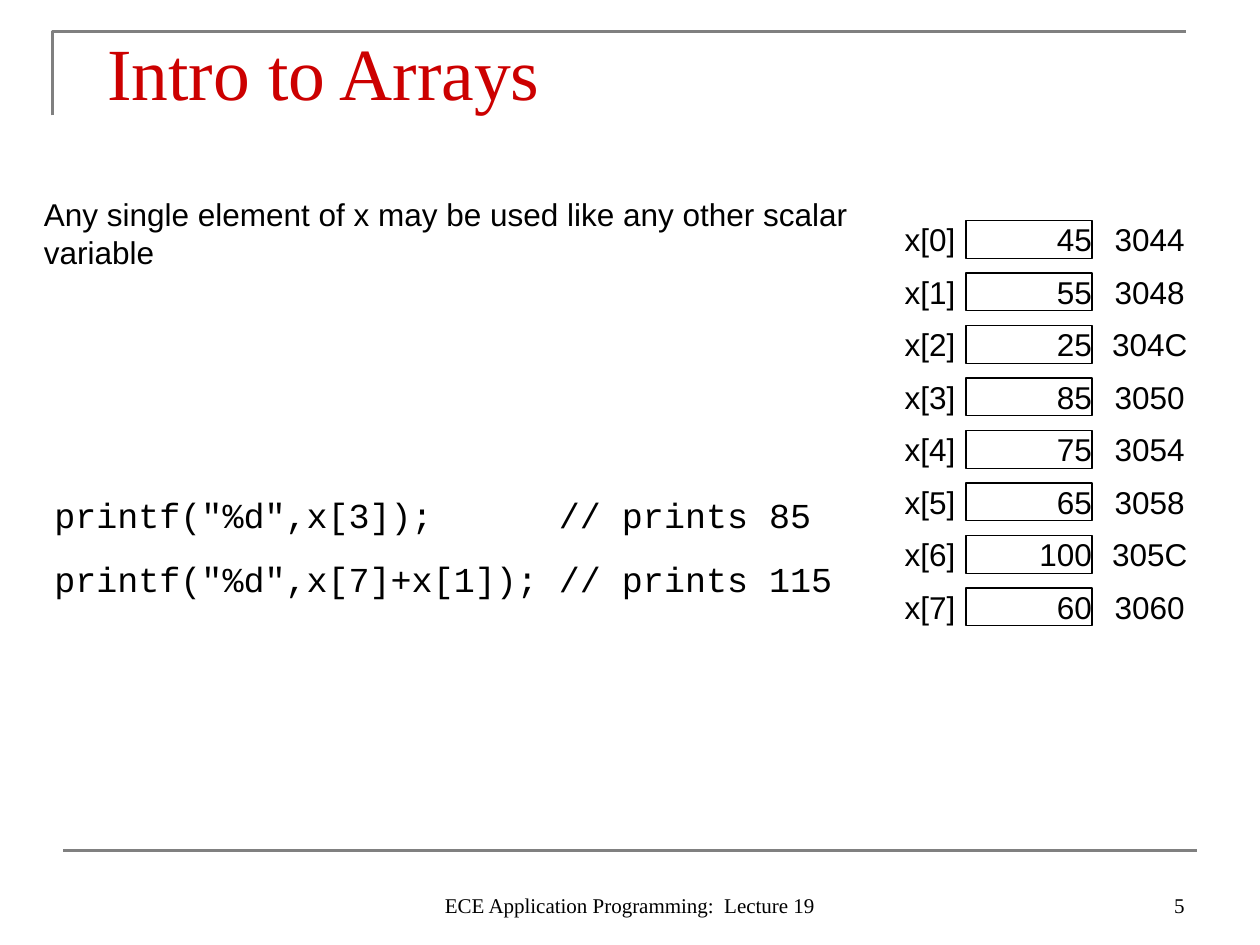
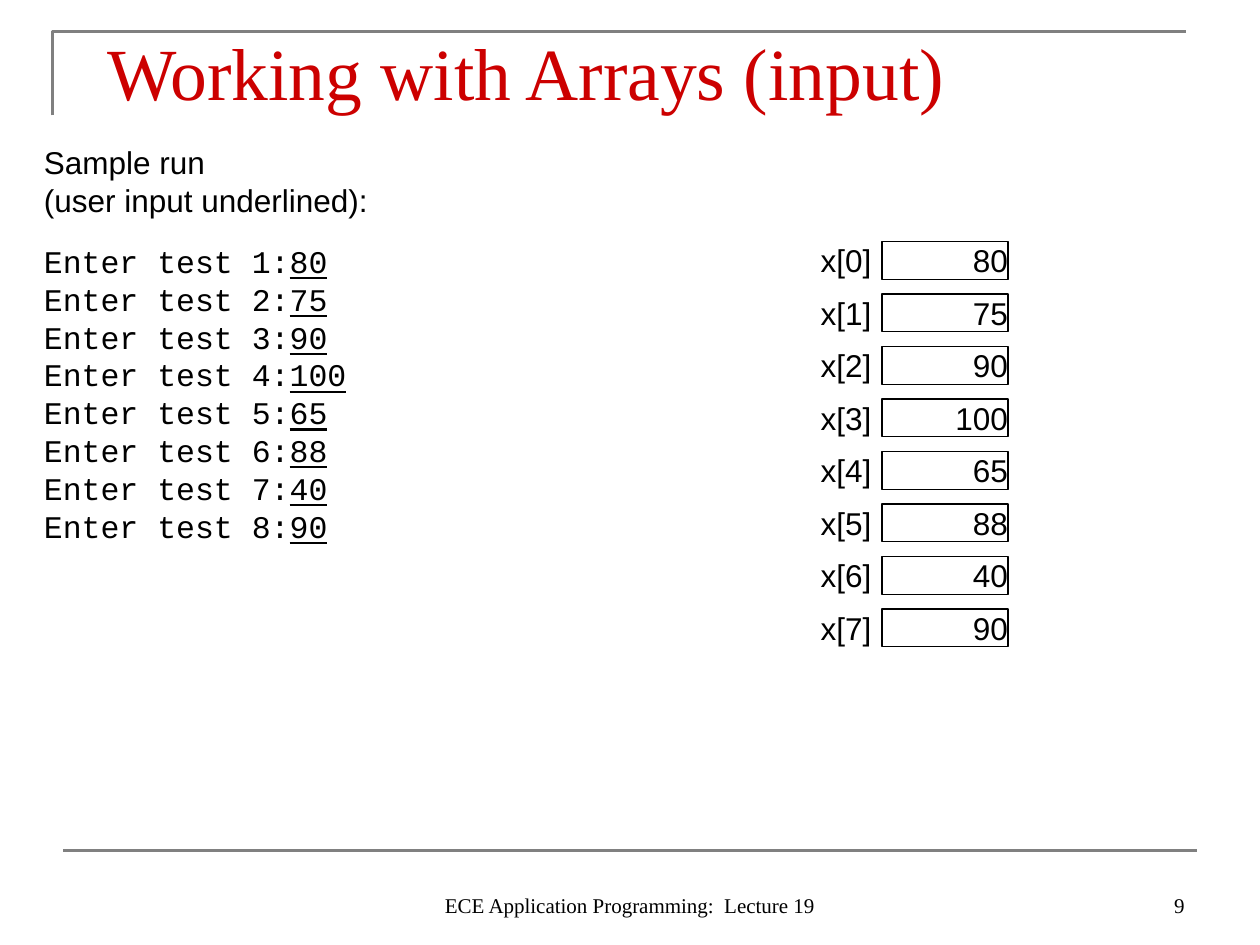
"""Build two lecture slides on arrays."""
from dataclasses import dataclass

from lxml import etree
from pptx import Presentation
from pptx.dml.color import RGBColor
from pptx.enum.shapes import MSO_CONNECTOR, MSO_SHAPE
from pptx.enum.text import MSO_ANCHOR, PP_ALIGN
from pptx.oxml.ns import qn
from pptx.slide import Slide
from pptx.text.text import TextFrame, _Paragraph
from pptx.util import Pt

RED = RGBColor(0xCC, 0x00, 0x00)
GRAY = RGBColor(0x80, 0x80, 0x80)
BLACK = RGBColor(0x00, 0x00, 0x00)
SERIF, SANS, MONO = "Times New Roman", "Arial", "Courier New"
LEFT, CENTER, RIGHT = PP_ALIGN.LEFT, PP_ALIGN.CENTER, PP_ALIGN.RIGHT
TOP, BOTTOM = MSO_ANCHOR.TOP, MSO_ANCHOR.BOTTOM
RECTANGLE, STRAIGHT = MSO_SHAPE.RECTANGLE, MSO_CONNECTOR.STRAIGHT
TITLE_ONLY = 5
LEADING = 1.2
ROW_PITCH, ROW_HEIGHT = 30, 21.6
LABEL_WIDTH, VALUE_OFFSET, VALUE_WIDTH = 66, 72, 72
FOOTER = "ECE Application Programming:  Lecture 19"


@dataclass(frozen=True)
class Box:
    """A rectangle in points."""
    left: float
    top: float
    width: float
    height: float

    def emu(self) -> tuple[Pt, Pt, Pt, Pt]:
        """Return the four lengths for python-pptx."""
        return Pt(self.left), Pt(self.top), Pt(self.width), Pt(self.height)


@dataclass(frozen=True)
class Style:
    """The look of a paragraph."""
    font: str
    size: float
    color: RGBColor = BLACK
    align: PP_ALIGN = LEFT


@dataclass(frozen=True)
class ArrayCell:
    """One array element with its value and optional address."""
    value: int
    address: str = ""


TITLE = Style(SERIF, 42, RED)
BODY = Style(SANS, 18)
CELL = Style(SANS, 18, align=RIGHT)
ADDRESS = Style(SANS, 18, align=CENTER)
CODE = Style(MONO, 20)
CONSOLE = Style(MONO, 18)
FOOTER_TEXT = Style(SERIF, 12, align=CENTER)
PAGE_NUMBER = Style(SERIF, 12, align=RIGHT)


def format_paragraph(paragraph: _Paragraph, style: Style) -> None:
    """Apply a style to a whole paragraph."""
    paragraph.alignment = style.align
    paragraph.line_spacing = Pt(style.size * LEADING)
    paragraph.font.name = style.font
    paragraph.font.size = Pt(style.size)
    paragraph.font.color.rgb = style.color


def set_text(frame: TextFrame, lines: list[str], style: Style, gap: float = 0,
             padding: tuple[float, float] = (7.2, 3.6),
             anchor: MSO_ANCHOR = TOP) -> None:
    """Fill a frame with equally styled paragraphs."""
    frame.word_wrap = True
    frame.vertical_anchor = anchor
    frame.margin_left = frame.margin_right = Pt(padding[0])
    frame.margin_top = frame.margin_bottom = Pt(padding[1])
    for index, line in enumerate(lines):
        paragraph = frame.add_paragraph() if index else frame.paragraphs[0]
        paragraph.text = line
        format_paragraph(paragraph, style)
        if index:
            paragraph.space_before = Pt(gap)


def add_text(slide: Slide, box: Box, lines: list[str], style: Style, gap: float = 0,
             padding: tuple[float, float] = (7.2, 3.6),
             anchor: MSO_ANCHOR = TOP) -> TextFrame:
    """Add a text box and return its frame."""
    frame = slide.shapes.add_textbox(*box.emu()).text_frame
    set_text(frame, lines, style, gap, padding, anchor)
    return frame


def add_frame(slide: Slide) -> None:
    """Draw the corner rule and the footer rule."""
    builder = slide.shapes.build_freeform(Pt(30), Pt(66))
    builder.add_line_segments([(Pt(30), Pt(18)), (Pt(678), Pt(18))], close=False)
    corner = builder.convert_to_shape()
    corner.fill.background()
    corner.shadow.inherit = False
    footer_rule = slide.shapes.add_connector(STRAIGHT, Pt(36), Pt(486), Pt(684), Pt(486))
    etree.SubElement(footer_rule._element.spPr, qn("a:effectLst"))
    for rule in (corner, footer_rule):
        rule.line.color.rgb = GRAY
        rule.line.width = Pt(1.5)


def add_lecture_slide(deck: Presentation, title: str, number: int) -> Slide:
    """Add a slide with the shared title, rules and footer."""
    slide = deck.slides.add_slide(deck.slide_layouts[TITLE_ONLY])
    add_frame(slide)
    heading = slide.shapes.title
    heading.left, heading.top, heading.width, heading.height = Box(54, 12, 612, 42).emu()
    set_text(heading.text_frame, [title], TITLE)
    add_text(slide, Box(516, 492, 168, 36), [str(number)], PAGE_NUMBER, anchor=BOTTOM)
    add_text(slide, Box(246, 492, 228, 36), [FOOTER], FOOTER_TEXT, anchor=BOTTOM)
    return slide


def add_array(slide: Slide, left: float, top: float, cells: list[ArrayCell]) -> None:
    """Draw an array as a column of labelled memory cells."""
    value_left = left + VALUE_OFFSET
    for index, cell in enumerate(cells):
        row_top = top + index * ROW_PITCH
        add_text(slide, Box(left, row_top, LABEL_WIDTH, ROW_HEIGHT),
                 [f"x[{index}]"], CELL, padding=(0, 0))
        memory = slide.shapes.add_shape(
            RECTANGLE, *Box(value_left, row_top, VALUE_WIDTH, ROW_HEIGHT).emu())
        memory.shadow.inherit = False
        memory.fill.background()
        memory.line.color.rgb = BLACK
        memory.line.width = Pt(0.75)
        set_text(memory.text_frame, [str(cell.value)], CELL, padding=(0, 0))
        if cell.address:
            add_text(slide, Box(value_left + VALUE_WIDTH, row_top, LABEL_WIDTH, ROW_HEIGHT),
                     [cell.address], ADDRESS, padding=(0, 0))


def add_console(frame: TextFrame, scores: list[int]) -> None:
    """Append the prompts with each user input underlined."""
    console = frame.add_paragraph()
    for index, score in enumerate(scores):
        if index:
            console.add_line_break()
        console.add_run().text = f"Enter test {index + 1}:"
        answer = console.add_run()
        answer.text = str(score)
        answer.font.underline = True
    format_paragraph(console, CONSOLE)
    console.space_before = Pt(13.5)


def build_intro(deck: Presentation) -> None:
    """Build the slide on using single elements."""
    slide = add_lecture_slide(deck, "Intro to Arrays", 5)
    values = [45, 55, 25, 85, 75, 65, 100, 60]
    add_array(slide, 480, 126, [ArrayCell(value, f"{0x3044 + 4 * index:X}")
                                for index, value in enumerate(values)])
    add_text(slide, Box(24, 276, 468, 104.4),
             ['printf("%d",x[3]);      // prints 85',
              'printf("%d",x[7]+x[1]); // prints 115'],
             CODE, gap=12.5, padding=(7.2, 6))
    add_text(slide, Box(18, 108, 474, 50.4),
             ["Any single element of x may be used like any other scalar variable"], BODY)


def build_input(deck: Presentation) -> None:
    """Build the slide on reading values into an array."""
    slide = add_lecture_slide(deck, "Working with Arrays (input)", 9)
    scores = [80, 75, 90, 100, 65, 88, 40, 90]
    sample_run = add_text(slide, Box(18, 78, 288, 289.4),
                          ["Sample run\v(user input underlined):"], BODY)
    add_console(sample_run, scores)
    add_array(slide, 432, 138, [ArrayCell(score) for score in scores])


def main() -> None:
    """Build and save the deck."""
    deck = Presentation()
    deck.slide_width, deck.slide_height = Pt(720), Pt(540)
    build_intro(deck)
    build_input(deck)
    deck.save("out.pptx")


if __name__ == "__main__":
    main()
